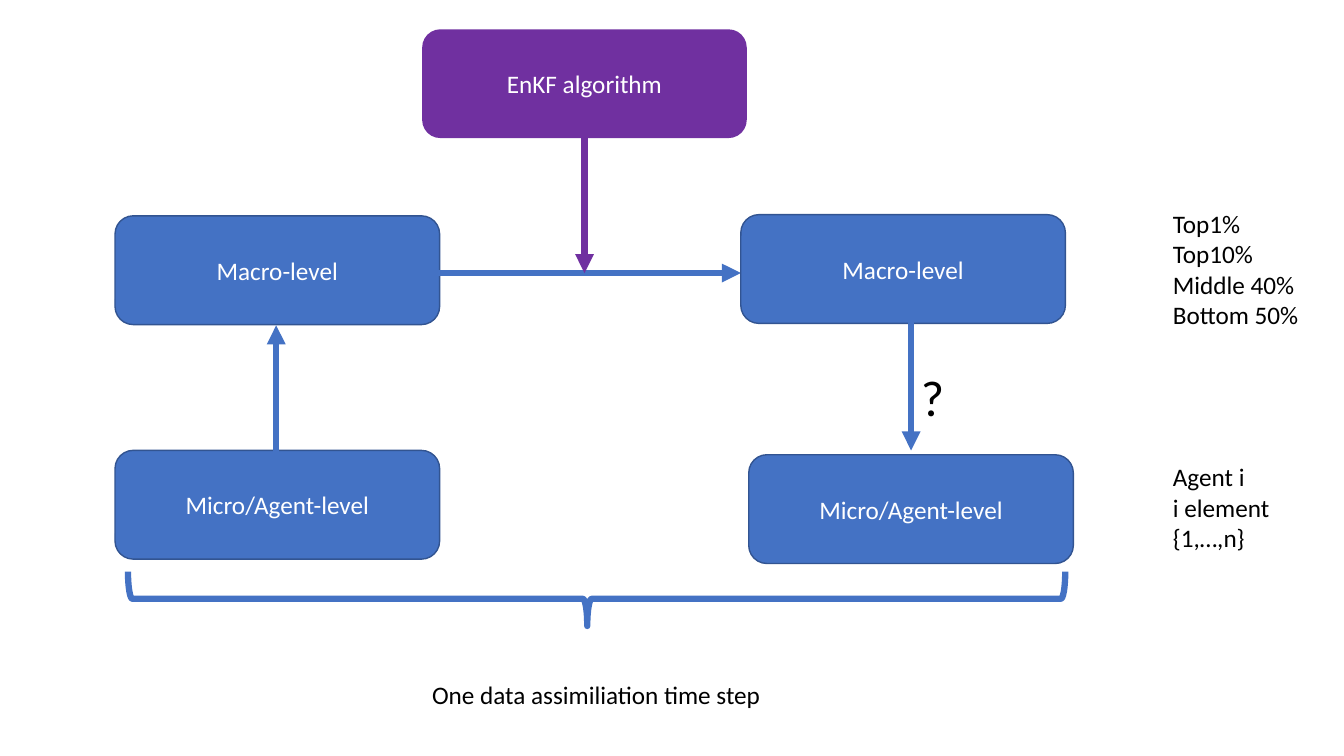
"""Build the slide on one EnKF data assimilation time step."""
import lxml.etree
import pptx
import pptx.dml.color
import pptx.enum.shapes
import pptx.enum.text
import pptx.oxml.ns
import pptx.util

Cm = pptx.util.Cm
Pt = pptx.util.Pt
COLOURS = {"level": "4472C4", "edge": "325491", "algorithm": "7030A0",
           "label": "FFFFFF", "note": "000000"}
FONT = "Calibri"
BOX_WIDTH, BOX_HEIGHT = 8.18, 2.74


def colour(role):
    return pptx.dml.color.RGBColor.from_string(COLOURS[role])


def add_line_of_text(paragraph, wording, role, size):
    run = paragraph.add_run()
    run.text = wording
    run.font.name = FONT
    run.font.size = Pt(size)
    run.font.color.rgb = colour(role)


def add_box(slide, left, top, wording, fill="level", edge="edge"):
    box = slide.shapes.add_shape(
        pptx.enum.shapes.MSO_SHAPE.ROUNDED_RECTANGLE,
        Cm(left), Cm(top), Cm(BOX_WIDTH), Cm(BOX_HEIGHT))
    box.shadow.inherit = False
    box.fill.solid()
    box.fill.fore_color.rgb = colour(fill)
    if edge:
        box.line.color.rgb = colour(edge)
        box.line.width = Pt(1)
    else:
        box.line.fill.background()
    frame = box.text_frame
    frame.vertical_anchor = pptx.enum.text.MSO_ANCHOR.MIDDLE
    label = frame.paragraphs[0]
    label.alignment = pptx.enum.text.PP_ALIGN.CENTER
    add_line_of_text(label, wording, "label", 18)


def add_arrow(slide, start, end, role="level"):
    arrow = slide.shapes.add_connector(
        pptx.enum.shapes.MSO_CONNECTOR.STRAIGHT,
        *(Cm(length) for length in start + end))
    arrow.line.color.rgb = colour(role)
    arrow.line.width = Pt(4.5)
    qn = pptx.oxml.ns.qn
    properties = arrow.element.spPr
    lxml.etree.SubElement(properties.find(qn("a:ln")), qn("a:tailEnd"), type="triangle")
    lxml.etree.SubElement(properties, qn("a:effectLst"))


def add_note(slide, left, top, width, height, lines, size=18):
    note = slide.shapes.add_textbox(Cm(left), Cm(top), Cm(width), Cm(height))
    frame = note.text_frame
    frame.word_wrap = True
    frame.auto_size = pptx.enum.text.MSO_AUTO_SIZE.SHAPE_TO_FIT_TEXT
    for index, wording in enumerate(lines):
        paragraph = frame.add_paragraph() if index else frame.paragraphs[0]
        add_line_of_text(paragraph, wording, "note", size)


def add_brace(slide, left, top, width, height):
    brace = slide.shapes.add_shape(
        pptx.enum.shapes.MSO_SHAPE.RIGHT_BRACE,
        Cm(left), Cm(top), Cm(width), Cm(height))
    brace.rotation = 90
    brace.adjustments[0] = 0.08
    brace.adjustments[1] = 0.51
    brace.shadow.inherit = False
    brace.fill.background()
    brace.line.color.rgb = colour("level")
    brace.line.width = Pt(4.5)


def main():
    deck = pptx.Presentation()
    deck.slide_width, deck.slide_height = Cm(33.87), Cm(19.05)
    slide = deck.slides.add_slide(deck.slide_layouts[6])

    add_box(slide, 2.9, 5.44, "Macro-level")
    add_box(slide, 2.9, 11.35, "Micro/Agent-level")
    add_arrow(slide, (6.96, 11.79), (6.96, 8.2))
    add_note(slide, 29.31, 5.13, 5.13, 3.33,
             ["Top1%", "Top10%", "Middle 40%", "Bottom 50%"])
    add_arrow(slide, (10.13, 6.88), (18.67, 6.88))
    add_box(slide, 18.67, 5.41, "Macro-level")
    add_arrow(slide, (14.73, 3.48), (14.73, 6.88), "algorithm")
    add_box(slide, 10.64, 0.74, "EnKF algorithm", "algorithm", None)
    add_arrow(slide, (22.96, 7.57), (22.96, 11.35))
    add_box(slide, 18.87, 11.46, "Micro/Agent-level")
    add_note(slide, 29.31, 11.51, 5.13, 2.57, ["Agent i", "i element ", "{1,…,n}"])
    add_brace(slide, 14.35, 3.28, 1.37, 23.62)
    add_note(slide, 10.64, 16.99, 14.43, 1.02, ["One data assimiliation time step"])
    add_note(slide, 22.96, 9.09, 5.13, 1.8, ["?"], 36)

    deck.save("out.pptx")


main()
